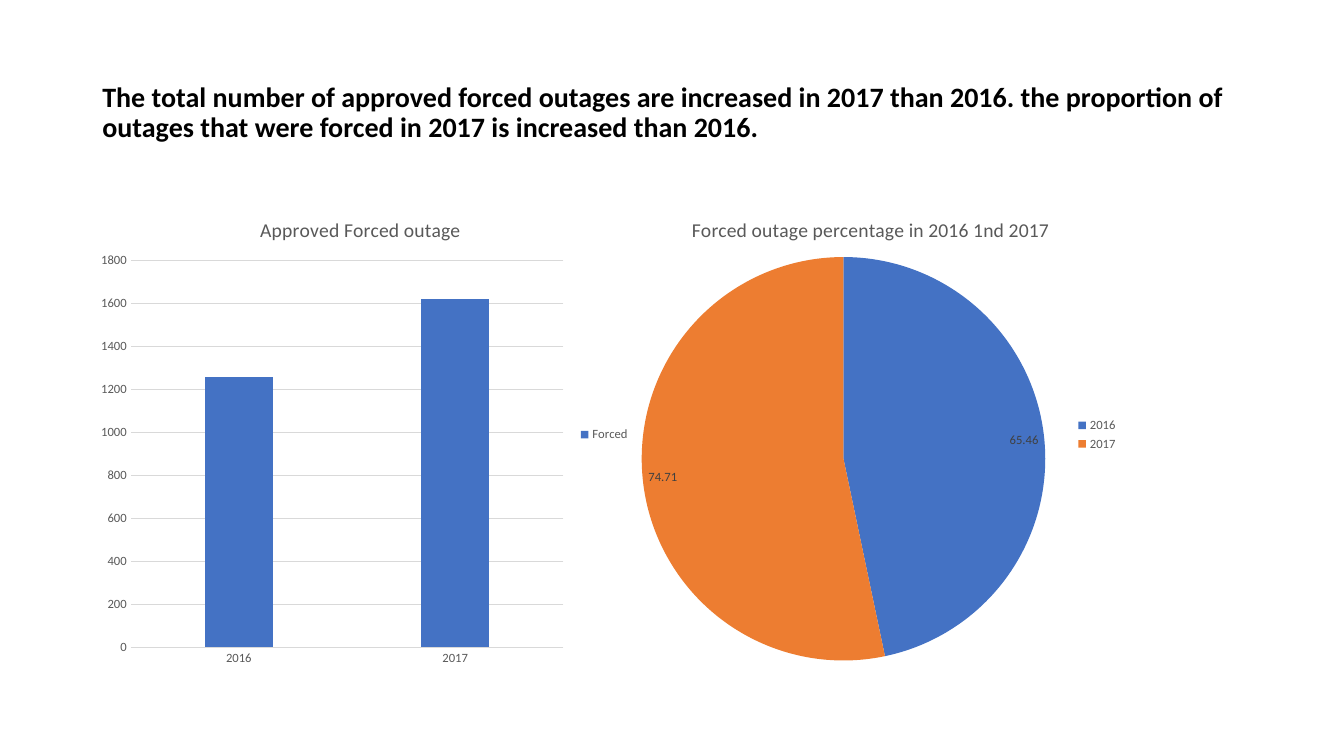
from dataclasses import dataclass

from lxml import etree
from pptx import Presentation
from pptx import util as u
from pptx.chart.data import CategoryChartData
from pptx.dml.color import RGBColor
from pptx.enum import chart as ch
from pptx.enum import text
from pptx.oxml import parse_xml
from pptx.oxml.ns import nsdecls, qn

COLORS = {
    "black": "000000", "gray": "595959", "label": "404040",
    "grid": "D9D9D9", "blue": "4472C4", "orange": "ED7D31",
}
FONT = "Calibri"
COLS, ROWS = 160, 90
CHART_TOP, CHART_ROWS = 23, 57.5
YEARS = ("2016", "2017")


@dataclass
class ChartSpec:
    kind: ch.XL_CHART_TYPE
    title: str
    series: str
    values: tuple[float, ...]
    col: float
    cols: float
    title_at: tuple[float, float]
    plot_at: tuple[float, float, float, float]


CHARTS = [
    ChartSpec(ch.XL_CHART_TYPE.COLUMN_CLUSTERED, "Approved Forced outage", "Forced",
              (1260, 1620), 11, 65.2, (0.3, 0.04), (0.07, 0.14, 0.79, 0.8)),
    ChartSpec(ch.XL_CHART_TYPE.PIE, "Forced outage percentage in 2016 1nd 2017", "Series 1",
              (65.46, 74.71), 72.7, 61.6, (0.15, 0.04), (0.06, 0.13, 0.78, 0.84)),
]

prs = Presentation()
prs.slide_width, prs.slide_height = u.Inches(13.33), u.Inches(7.5)
s = prs.slides.add_slide(prs.slide_layouts[6])


def box(col: float, row: float, cols: float, rows: float) -> tuple[int, ...]:
    w, h = prs.slide_width, prs.slide_height
    return (int(w * col / COLS), int(h * row / ROWS), int(w * cols / COLS), int(h * rows / ROWS))


def rgb(name: str) -> RGBColor:
    return RGBColor.from_string(COLORS[name])


def apply(target, values: dict) -> None:
    for name, value in values.items():
        setattr(target, name, value)


def set_font(font, size: float, color: str, bold: bool = False) -> None:
    apply(font, {"name": FONT, "size": u.Pt(size), "bold": bold})
    font.color.rgb = rgb(color)


def set_fill(fmt, color: str) -> None:
    fmt.fill.solid()
    fmt.fill.fore_color.rgb = rgb(color)


def set_line(line) -> None:
    line.color.rgb = rgb("grid")
    line.width = u.Pt(0.75)


def place(parent, index: int, at: tuple[float, ...], inner: bool = False) -> None:
    for old in parent.findall(qn("c:layout")):
        parent.remove(old)
    layout = parse_xml(f"<c:layout {nsdecls('c')}><c:manualLayout/></c:layout>")
    settings = {"layoutTarget": "inner"} if inner else {}
    settings |= {"xMode": "edge", "yMode": "edge"} | dict(zip("xywh", at))
    for tag, value in settings.items():
        etree.SubElement(layout[0], qn(f"c:{tag}")).set("val", str(value))
    parent.insert(index, layout)


def style_columns(chart) -> None:
    apply(chart.plots[0], {"gap_width": 219, "overlap": -27})
    set_fill(chart.series[0].format, "blue")
    for axis in (chart.category_axis, chart.value_axis):
        apply(axis, {"major_tick_mark": ch.XL_TICK_MARK.NONE,
                     "minor_tick_mark": ch.XL_TICK_MARK.NONE})
        set_font(axis.tick_labels.font, 9, "gray")
    set_line(chart.category_axis.format.line)
    apply(chart.value_axis, {"minimum_scale": 0, "maximum_scale": 1800, "major_unit": 200})
    chart.value_axis.format.line.fill.background()
    set_line(chart.value_axis.major_gridlines.format.line)


def style_pie(chart) -> None:
    for i, color in enumerate(("blue", "orange")):
        set_fill(chart.series[0].points[i].format, color)
    labels = chart.series[0].data_labels
    apply(labels, {"show_value": True, "show_percentage": False,
                   "position": ch.XL_LABEL_POSITION.BEST_FIT})
    set_font(labels.font, 9, "label")


def draw_chart(spec: ChartSpec) -> None:
    data = CategoryChartData()
    data.categories = YEARS
    data.add_series(spec.series, spec.values)
    at = box(spec.col, CHART_TOP, spec.cols, CHART_ROWS)
    chart = s.shapes.add_chart(spec.kind, *at, data).chart
    set_font(chart.font, 10, "black")
    is_pie = spec.kind == ch.XL_CHART_TYPE.PIE
    chart.plots[0].vary_by_categories = is_pie
    (style_pie if is_pie else style_columns)(chart)
    chart.has_title = chart.has_legend = True
    r = chart.chart_title.text_frame.paragraphs[0].add_run()
    r.text = spec.title
    set_font(r.font, 14, "gray")
    apply(chart.legend, {"position": ch.XL_LEGEND_POSITION.RIGHT, "include_in_layout": False})
    set_font(chart.legend.font, 9, "gray")
    root = chart.font._element.getroottree().getroot()
    place(root.find(".//" + qn("c:title")), 1, spec.title_at)
    place(root.find(".//" + qn("c:plotArea")), 0, spec.plot_at, inner=True)


tf = s.shapes.add_textbox(*box(11, 4.8, 138, 17.4)).text_frame
apply(tf, {"word_wrap": True, "vertical_anchor": text.MSO_ANCHOR.MIDDLE})
p = tf.paragraphs[0]
p.line_spacing = 0.9
r = p.add_run()
r.text = ("The total number of approved forced outages are increased in 2017 than 2016. "
          "the proportion of outages that were forced in 2017 is increased than 2016.")
set_font(r.font, 20, "black", bold=True)

for spec in CHARTS:
    draw_chart(spec)

prs.save("out.pptx")
